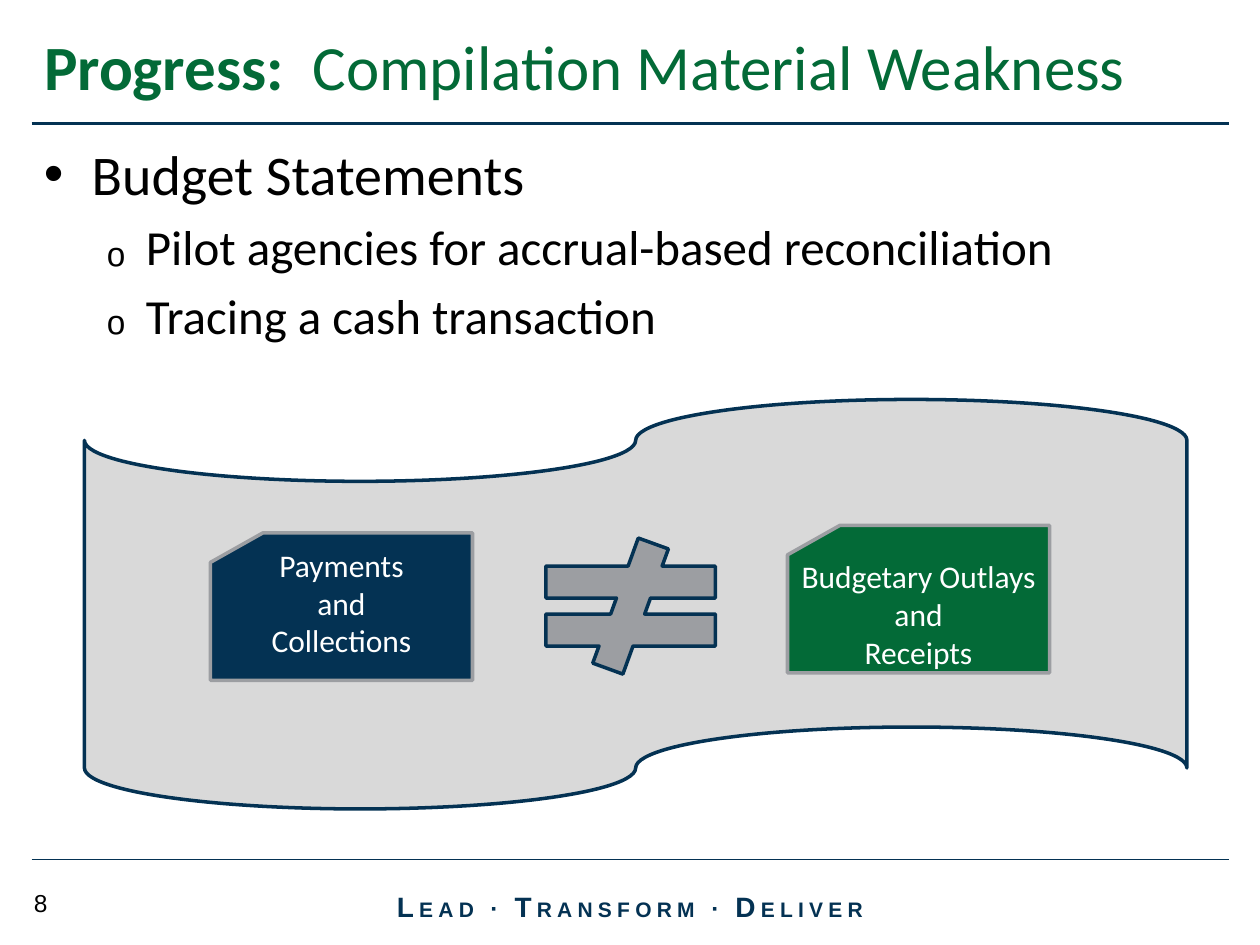
from lxml import etree
from pptx import Presentation
from pptx.dml.color import RGBColor
from pptx.enum.shapes import MSO_CONNECTOR, MSO_SHAPE
from pptx.enum.text import MSO_ANCHOR, PP_ALIGN
from pptx.oxml.ns import qn
from pptx.util import Inches, Pt

COLORS = {"navy": "043253", "green": "036A37", "gray": "9C9EA2",
          "tape": "D9D9D9", "white": "FFFFFF", "black": "000000"}
TITLE = [("Progress:  ", True), ("Compilation Material Weakness", False)]
BULLETS = [
    ("Budget Statements", 0),
    ("Pilot agencies for accrual-based reconciliation", 1),
    ("Tracing a cash transaction", 1),
]
LEVELS = [
    {"size": 32, "margin": 0.38, "indent": -0.38, "bullet": "\u2022"},
    {"size": 28, "margin": 0.81, "indent": -0.31, "bullet": "\u2092"},
]
MOTTO = ["Lead", "Transform", "Deliver"]
PAGE_NUMBER = "8"
RULES = [(0.98, 2.25), (6.82, 0.75)]
CARDS = [
    (["Payments", "and", "Collections"], 1.67, 4.23, "navy", 0.35),
    (["Budgetary Outlays", "and", "Receipts"], 6.25, 4.17, "green", 0.05),
]


def rgb(name):
    return RGBColor.from_string(COLORS[name])


def add_run(para, text, size, color, font="Calibri", bold=False):
    span = para.add_run()
    span.text = text
    span.font.size = Pt(size)
    span.font.name = font
    span.font.bold = bold
    span.font.color.rgb = rgb(color)
    return span


def add_text_box(left, top, width, height, anchor=MSO_ANCHOR.TOP):
    box = page.shapes.add_textbox(Inches(left), Inches(top), Inches(width), Inches(height))
    box.text_frame.word_wrap = True
    box.text_frame.vertical_anchor = anchor
    return box.text_frame


def next_para(frame, index):
    return frame.add_paragraph() if index else frame.paragraphs[0]


def add_figure(kind, left, top, width, height, fill, line):
    figure = page.shapes.add_shape(kind, Inches(left), Inches(top), Inches(width), Inches(height))
    figure.shadow.inherit = False
    figure.fill.solid()
    figure.fill.fore_color.rgb = rgb(fill)
    figure.line.color.rgb = rgb(line)
    figure.line.width = Pt(2)
    return figure


def set_bullet(para, level):
    props = para._p.get_or_add_pPr()
    props.set("marL", str(Inches(level["margin"])))
    props.set("indent", str(Inches(level["indent"])))
    etree.SubElement(props, qn("a:buFont")).set("typeface", "Arial")
    etree.SubElement(props, qn("a:buChar")).set("char", level["bullet"])


deck = Presentation()
deck.slide_width, deck.slide_height = Inches(10), Inches(7.5)
page = deck.slides.add_slide(deck.slide_layouts[5])

title = page.shapes.title
title.left, title.top = Inches(0.25), Inches(0.17)
title.width, title.height = Inches(9.5), Inches(0.75)
title.text_frame.vertical_anchor = MSO_ANCHOR.TOP
title_para = title.text_frame.paragraphs[0]
title_para.alignment = PP_ALIGN.LEFT
for text, bold in TITLE:
    add_run(title_para, text, 36, "green", bold=bold)

for y, weight in RULES:
    rule = page.shapes.add_connector(
        MSO_CONNECTOR.STRAIGHT, Inches(0.25), Inches(y), Inches(9.75), Inches(y))
    rule.line.color.rgb = rgb("navy")
    rule.line.width = Pt(weight)
    etree.SubElement(rule._element.spPr, qn("a:effectLst"))

body = add_text_box(0.25, 1.06, 9.5, 5.69)
for index, (text, depth) in enumerate(BULLETS):
    level = LEVELS[depth]
    para = next_para(body, index)
    para.level = depth
    para.space_before = Pt(level["size"] * 0.2)
    set_bullet(para, level)
    add_run(para, text, level["size"], "black")

add_figure(MSO_SHAPE.FLOWCHART_PUNCHED_TAPE, 0.67, 3.17, 8.75, 3.25, "tape", "navy")
for lines, left, top, fill, bottom_inset in CARDS:
    card = add_figure(MSO_SHAPE.FLOWCHART_CARD, left, top, 2.08, 1.17, fill, "gray")
    frame = card.text_frame
    frame.word_wrap = True
    frame.vertical_anchor = MSO_ANCHOR.MIDDLE
    frame.margin_bottom = Inches(bottom_inset)
    for index, text in enumerate(lines):
        para = next_para(frame, index)
        para.alignment = PP_ALIGN.CENTER
        add_run(para, text, 18, "white")
add_figure(MSO_SHAPE.MATH_NOT_EQUAL, 4.09, 4.27, 1.83, 1.08, "gray", "navy")

motto = add_text_box(2.83, 6.99, 4.34, 0.4, MSO_ANCHOR.MIDDLE).paragraphs[0]
motto.alignment = PP_ALIGN.CENTER
for index, word in enumerate(MOTTO):
    last = index == len(MOTTO) - 1
    parts = [(word[0], 16), (word[1:].upper() + ("" if last else " "), 12)]
    if not last:
        parts.append(("\u2219 ", 14))
    for text, size in parts:
        span = add_run(motto, text, size, "navy", "Arial", True)
        span.font._element.set("spc", "300")

number = add_text_box(0.17, 7, 1.25, 0.33).paragraphs[0]
add_run(number, PAGE_NUMBER, 14, "black", "Arial")

deck.save("out.pptx")
